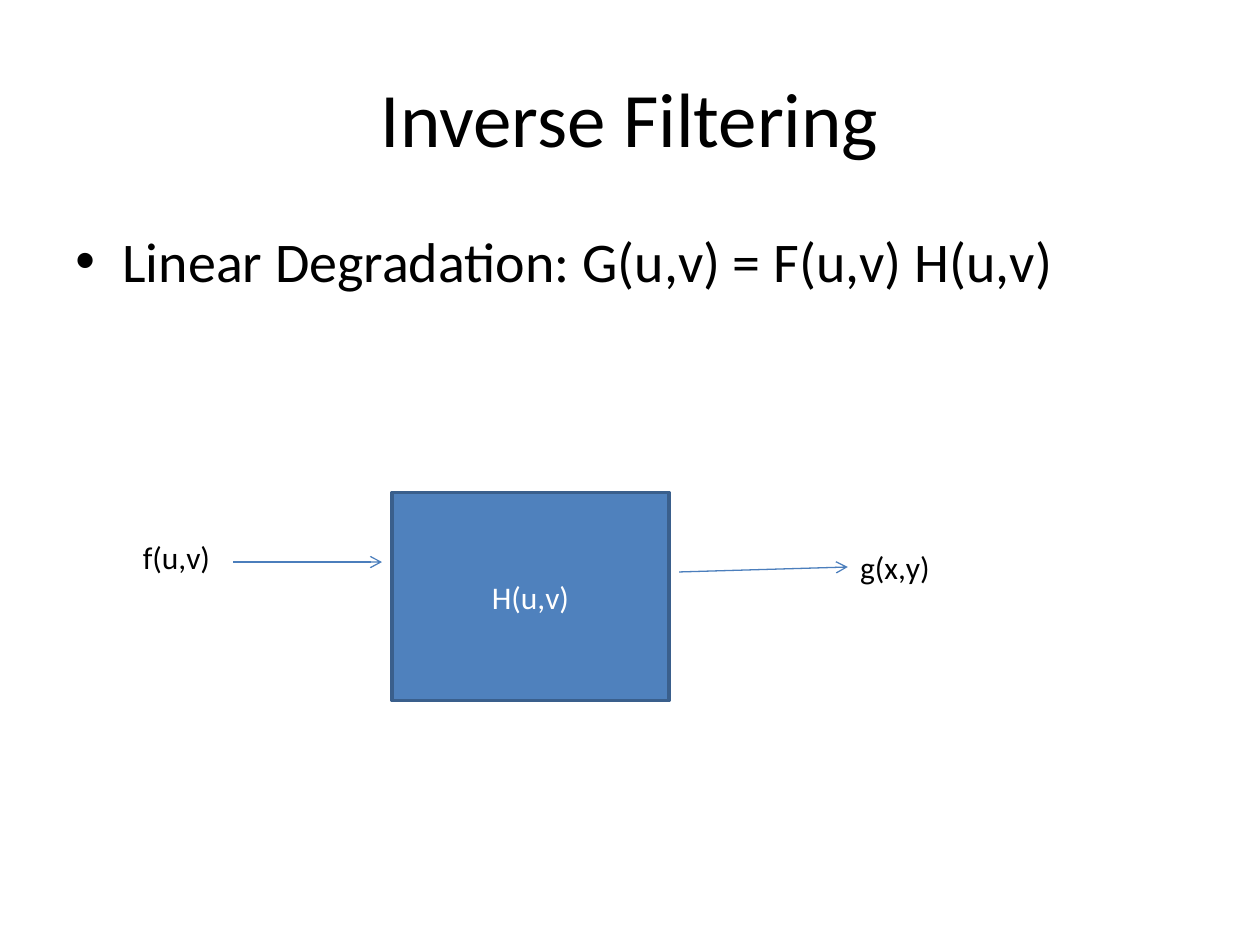
from dataclasses import dataclass

from lxml.etree import SubElement
from pptx import Presentation
from pptx.dml.color import RGBColor
from pptx.enum.shapes import MSO_CONNECTOR as Connector, MSO_SHAPE as Preset
from pptx.enum.text import MSO_ANCHOR as Anchor, PP_ALIGN as Align
from pptx.oxml.ns import qn
from pptx.shapes.base import BaseShape
from pptx.slide import Slide
from pptx.util import Cm, Pt


@dataclass(frozen=True)
class Theme:
    font: str = "Calibri"
    ink: RGBColor = RGBColor(0x00, 0x00, 0x00)
    block_ink: RGBColor = RGBColor(0xFF, 0xFF, 0xFF)
    block_fill: RGBColor = RGBColor(0x4F, 0x81, 0xBD)
    block_edge: RGBColor = RGBColor(0x3A, 0x5F, 0x8C)
    arrow: RGBColor = RGBColor(0x4B, 0x7E, 0xBC)
    title_size: int = 44
    body_size: int = 32
    label_size: int = 18


THEME = Theme()


@dataclass(frozen=True)
class Label:
    """A piece of text and its box, in centimetres."""
    text: str
    left: float
    top: float
    width: float
    height: float
    size: int = THEME.label_size
    color: RGBColor = THEME.ink
    align: Align = Align.LEFT
    anchor: Anchor = Anchor.TOP
    bullet: bool = False

    @property
    def box(self) -> tuple[Cm, Cm, Cm, Cm]:
        return Cm(self.left), Cm(self.top), Cm(self.width), Cm(self.height)


@dataclass(frozen=True)
class Signal:
    """An arrow between two points, in centimetres."""
    start: tuple[float, float]
    end: tuple[float, float]


TEXTS = (
    Label("Inverse Filtering", 1.27, 0.76, 22.86, 3.18, THEME.title_size,
          align=Align.CENTER, anchor=Anchor.MIDDLE),
    Label("Linear Degradation: G(u,v) = F(u,v) H(u,v)", 1.27, 4.45, 22.86, 12.57,
          THEME.body_size, bullet=True),
    Label("f(u,v)", 2.63, 10.72, 2.79, 1.02),
    Label("g(x,y)", 17.09, 10.92, 2.79, 1.02),
)
FILTER = Label("H(u,v)", 7.9, 9.93, 5.59, 4.19, color=THEME.block_ink,
               align=Align.CENTER, anchor=Anchor.MIDDLE)
SIGNALS = (
    Signal((4.7, 11.33), (7.7, 11.33)),
    Signal((13.69, 11.53), (17.09, 11.43)),
)


def write(shape: BaseShape, label: Label) -> None:
    frame = shape.text_frame
    frame.word_wrap = True
    frame.vertical_anchor = label.anchor
    paragraph = frame.paragraphs[0]
    if label.bullet:
        properties = paragraph._p.get_or_add_pPr()
        properties.set("marL", str(Cm(0.95)))
        properties.set("indent", str(-Cm(0.95)))
        SubElement(properties, qn("a:buFont"), typeface="Arial")
        SubElement(properties, qn("a:buChar"), char="•")
    paragraph.alignment = label.align
    run = paragraph.add_run()
    run.text = label.text
    run.font.name = THEME.font
    run.font.size = Pt(label.size)
    run.font.color.rgb = label.color


def draw_text(slide: Slide, label: Label) -> None:
    write(slide.shapes.add_textbox(*label.box), label)


def draw_block(slide: Slide, label: Label) -> None:
    block = slide.shapes.add_shape(Preset.RECTANGLE, *label.box)
    block.shadow.inherit = False
    block.fill.solid()
    block.fill.fore_color.rgb = THEME.block_fill
    block.line.color.rgb = THEME.block_edge
    block.line.width = Pt(2)
    write(block, label)


def draw_signal(slide: Slide, signal: Signal) -> None:
    points = [Cm(value) for value in signal.start + signal.end]
    arrow = slide.shapes.add_connector(Connector.STRAIGHT, *points)
    arrow.line.color.rgb = THEME.arrow
    arrow.line.width = Pt(0.75)
    SubElement(arrow.line._get_or_add_ln(), qn("a:tailEnd"), type="arrow")
    SubElement(arrow._element.spPr, qn("a:effectLst"))


def main() -> None:
    deck = Presentation()
    deck.slide_width, deck.slide_height = Cm(25.4), Cm(19.05)
    slide = deck.slides.add_slide(deck.slide_layouts[6])
    for label in TEXTS:
        draw_text(slide, label)
    draw_block(slide, FILTER)
    for signal in SIGNALS:
        draw_signal(slide, signal)
    deck.save("out.pptx")


if __name__ == "__main__":
    main()
